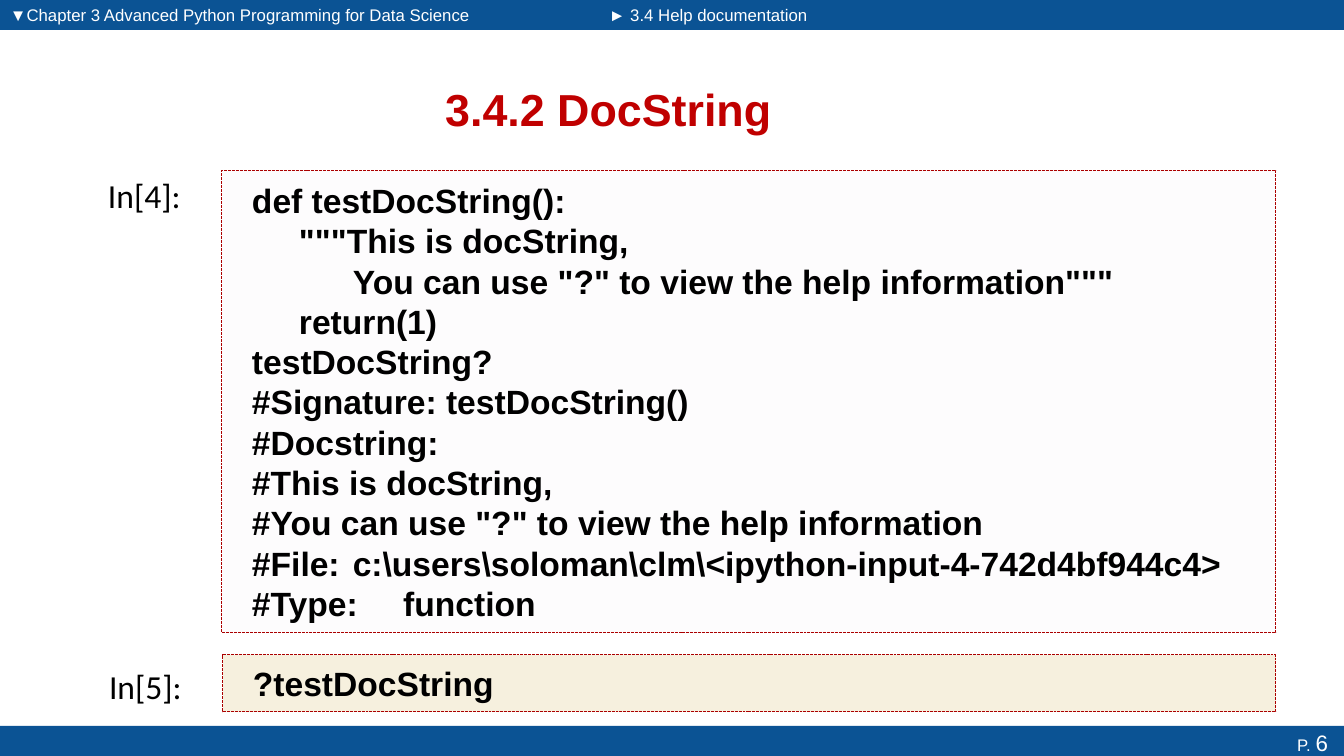
from lxml import etree
from pptx import Presentation
from pptx import util as u
from pptx.dml.color import RGBColor
from pptx.enum import dml, shapes, text
from pptx.oxml.ns import qn

PX = 914400 / 100.8
BLUE, RED, WHITE, BLACK = "0B5394", "C00000", "FFFFFF", "000000"
CODE_BORDER = "AB0000"
W, H = 1344, 756
INDENT, DEEP_INDENT = 47, 101

# Each code line: left indent, text, tab stop
DOC_CODE = [
    (0, "def testDocString():", 0),
    (INDENT, '"""This is docString,', 0),
    (DEEP_INDENT, 'You can use "?" to view the help information"""', 0),
    (INDENT, "return(1)", 0),
    (0, "testDocString?", 0),
    (0, "#Signature: testDocString()", 0),
    (0, "#Docstring:", 0),
    (0, "#This is docString,", 0),
    (0, '#You can use "?" to view the help information', 0),
    (0, "#File:\tc:\\users\\soloman\\clm\\<ipython-input-4-742d4bf944c4>", 144),
    (0, "#Type:\tfunction", 162),
]
HELP_CODE = [(0, "?testDocString", 0)]


def px(n):
    return u.Emu(round(n * PX))


def rgb(value):
    return RGBColor.from_string(value)


def add_run(p, words, size, color, font="Arial", bold=False):
    r = p.add_run()
    r.text = words
    r.font.size, r.font.name, r.font.bold = u.Pt(size), font, bold
    r.font.color.rgb = rgb(color)


def set_frame(tf, left=10, top=5, right=10, bottom=5,
              anchor=text.MSO_ANCHOR.MIDDLE):
    tf.word_wrap = True
    tf.vertical_anchor = anchor
    tf.margin_left, tf.margin_top = px(left), px(top)
    tf.margin_right, tf.margin_bottom = px(right), px(bottom)


def add_rect(s, box, fill, alpha=None):
    sp = s.shapes.add_shape(shapes.MSO_SHAPE.RECTANGLE, *map(px, box))
    sp.shadow.inherit = False
    sp.fill.solid()
    sp.fill.fore_color.rgb = rgb(fill)
    sp.line.fill.background()
    if alpha is not None:
        color = sp.fill._xPr.find(qn("a:solidFill"))[0]
        etree.SubElement(color, qn("a:alpha"), val=str(alpha * 1000))
    return sp


def add_label(s, box, words, size, color, font="Arial", **frame):
    tf = s.shapes.add_textbox(*map(px, box)).text_frame
    set_frame(tf, **frame)
    add_run(tf.paragraphs[0], words, size, color, font)


def add_header(s, x, y, w, h):
    split = x + 598
    add_rect(s, (x, y, split - x, h), BLUE)
    add_rect(s, (split, y, x + w - split, h), BLUE)
    add_label(s, (x, y, 487, h),
              "▼Chapter 3 Advanced Python Programming for Data Science", 12, WHITE)
    add_label(s, (split + 1, y, 280, h), "► 3.4 Help documentation", 12, WHITE)


def add_footer(s, x, y, w, h):
    tf = add_rect(s, (x, y, w, h), BLUE).text_frame
    set_frame(tf, right=16, top=0, bottom=0, anchor=text.MSO_ANCHOR.BOTTOM)
    p = tf.paragraphs[0]
    p.alignment = text.PP_ALIGN.RIGHT
    add_run(p, "P. ", 12, WHITE)
    add_run(p, "6", 16, WHITE)


def set_title(s, x, y, w, h):
    title = s.shapes.title
    title.left, title.top, title.width, title.height = map(px, (x, y, w, h))
    set_frame(title.text_frame)
    p = title.text_frame.paragraphs[0]
    p.alignment = text.PP_ALIGN.CENTER
    add_run(p, "3.4.2 DocString", 32, RED, bold=True)


def add_cell(s, x, y, w, h, prompt, prompt_dy, lines, fill):
    """Prompt to the left of a dashed code box."""
    add_label(s, (x - 124, y + prompt_dy, 114, 50), prompt, 24, BLACK,
              "Calibri", anchor=text.MSO_ANCHOR.TOP)
    sp = add_rect(s, (x, y, w, h), fill, alpha=13)
    sp.line.color.rgb = rgb(CODE_BORDER)
    sp.line.width = u.Pt(0.7)
    sp.line.dash_style = dml.MSO_LINE.SQUARE_DOT
    tf = sp.text_frame
    set_frame(tf, left=30, right=5)
    for i, (indent, words, stop) in enumerate(lines):
        p = tf.paragraphs[0] if i == 0 else tf.add_paragraph()
        p.alignment = text.PP_ALIGN.LEFT
        pPr = p._p.get_or_add_pPr()
        pPr.set("marL", str(px(indent)))
        pPr.set("indent", "0")
        if stop:
            tabs = etree.SubElement(pPr, qn("a:tabLst"))
            etree.SubElement(tabs, qn("a:tab"), pos=str(px(stop)), algn="l")
        add_run(p, words, 24, BLACK, bold=True)


def main():
    prs = Presentation()
    prs.slide_width, prs.slide_height = px(W), px(H)
    s = prs.slides.add_slide(prs.slide_layouts[5])

    # Bars and title
    add_header(s, 0, 0, W, 30)
    add_footer(s, 0, 726, W, H - 726)
    set_title(s, 68, 63, 1081, 91)

    # Notebook cells
    add_cell(s, 222, 170, 1054, 463, "In[4]:", 0, DOC_CODE, "F1EEF4")
    add_cell(s, 223, 655, 1053, 57, "In[5]:", 6, HELP_CODE, "BF9000")

    prs.save("out.pptx")


if __name__ == "__main__":
    main()
